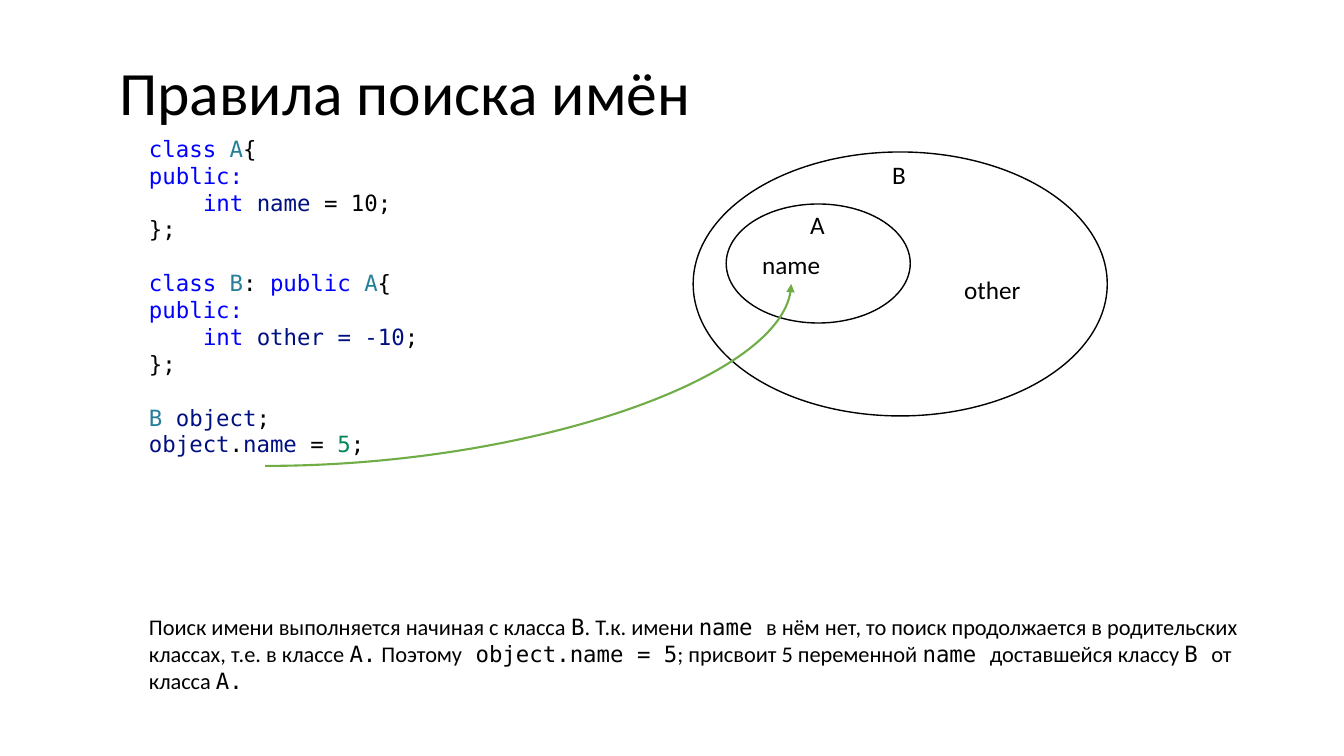
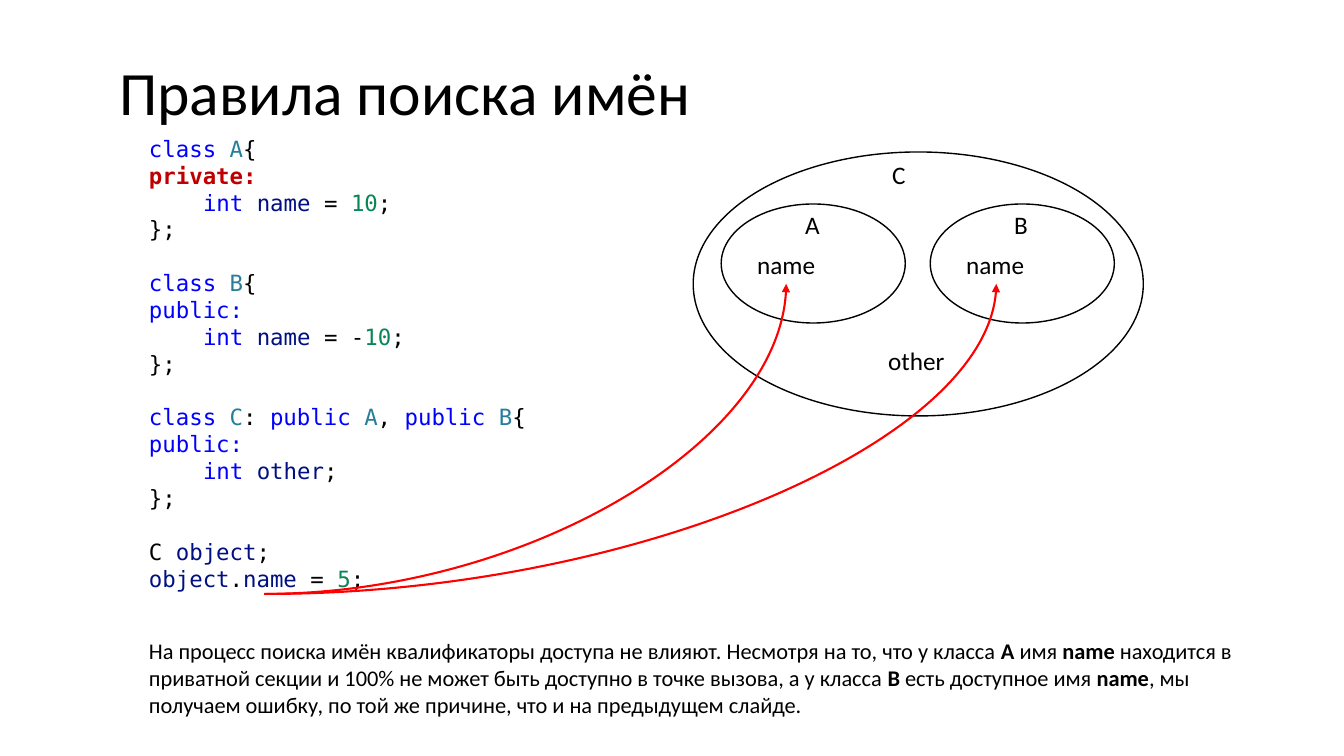
import pptx
import pptx.util
import pptx.dml.color
import pptx.enum.shapes
import pptx.enum.text
import pptx.oxml.ns
import pptx.oxml.xmlchemy

PX = 914400 / 100.8
SANS, MONO = "Calibri", "DejaVu Sans Mono"
HUES = {
    "text": "000000", "paper": "FFFFFF", "key": "0000FF", "type": "267F99",
    "name": "001080", "num": "098658", "warn": "C00000",
    "good": "70AD47", "bad": "FF0000",
}
INDENT = 54
CODE_GAP = 19.2


def rgb(hue):
    return pptx.dml.color.RGBColor.from_string(HUES[hue])


def write(par, text, size, font=SANS, hue="text", bold=False):
    run = par.add_run()
    run.text = text
    run.font.size = pptx.util.Pt(size)
    run.font.name = font
    run.font.color.rgb = rgb(hue)
    run.font.bold = bold


OPEN = [("type", "A"), ("text", "{")]
PUBLIC = [("key", "public:")]
END = [("text", "};")]
CALL = [("name", "object"), ("text", "."), ("name", "name"),
        ("text", " = "), ("num", "5"), ("text", ";")]

pages = [
    {
        "code": [
            [("key", "class ")] + OPEN,
            PUBLIC,
            [("key", "int "), ("name", "name "), ("text", "= 10;")],
            END,
            [("key", "class "), ("type", "B"), ("text", ": "), ("key", "public ")] + OPEN,
            PUBLIC,
            [("key", "int "), ("name", "other = -10"), ("text", ";")],
            END,
            [("type", "B "), ("name", "object"), ("text", ";")],
            CALL,
        ],
        "high": 336,
        "outer": 414,
        "inner": [("A", 726)],
        "labels": [("B", 882, 154, 35), ("other", 954, 269, 78)],
        "arrows": [(265, 466, 791)],
        "hue": "good",
        "top": 608,
        "note": [
            ("Поиск имени выполняется начиная с класса ", SANS, False),
            ("B", MONO, False),
            (". Т.к. имени ", SANS, False),
            ("name ", MONO, False),
            ("в нём нет, то поиск продолжается в родительских классах, т.е. в классе ", SANS, False),
            ("A.", MONO, False),
            (" Поэтому", SANS, False),
            (" object.name = 5", MONO, False),
            ("; присвоит 5 переменной ", SANS, False),
            ("name ", MONO, False),
            ("доставшейся классу ", SANS, False),
            ("B ", MONO, False),
            ("от класса ", SANS, False),
            ("A.", MONO, False),
        ],
    },
    {
        "code": [
            [("key", "class ")] + OPEN,
            [("warn", "private:")],
            [("key", "int "), ("name", "name"), ("text", " = "), ("num", "10"), ("text", ";")],
            END,
            [("key", "class "), ("type", "B"), ("text", "{")],
            PUBLIC,
            [("key", "int "), ("name", "name"), ("text", " = -"), ("num", "10"), ("text", ";")],
            END,
            [("key", "class "), ("type", "C"), ("text", ": "), ("key", "public "), ("type", "A"),
             ("text", ", "), ("key", "public "), ("type", "B"), ("text", "{")],
            PUBLIC,
            [("key", "int "), ("name", "other"), ("text", ";")],
            END,
            [("text", "С "), ("name", "object"), ("text", ";")],
            CALL,
        ],
        "high": 472,
        "outer": 450,
        "inner": [("A", 721), ("B", 930)],
        "labels": [("C", 882, 154, 34), ("other", 878, 340, 78)],
        "arrows": [(264, 594, 786), (266, 594, 996)],
        "hue": "bad",
        "top": 632,
        "note": [
            ("На процесс поиска имён квалификаторы доступа не влияют. Несмотря на то, что у класса ", SANS, False),
            ("A ", SANS, True),
            ("имя ", SANS, False),
            ("name ", SANS, True),
            ("находится в приватной секции и 100% не может быть доступно в точке вызова, а у класса ", SANS, False),
            ("B ", SANS, True),
            ("есть доступное имя ", SANS, False),
            ("name", SANS, True),
            (", мы получаем ошибку, по той же причине, что и на предыдущем слайде.", SANS, False),
        ],
    },
]

deck = pptx.Presentation()
deck.slide_width = pptx.util.Inches(13.33)
deck.slide_height = pptx.util.Inches(7.5)

for page in pages:
    slide = deck.slides.add_slide(deck.slide_layouts[5])
    shapes = slide.shapes

    title = shapes.title
    title.left, title.top, title.width, title.height = [round(n * PX) for n in (109, 57, 1159, 146)]
    title.text_frame.vertical_anchor = pptx.enum.text.MSO_ANCHOR.TOP
    par = title.text_frame.paragraphs[0]
    par.alignment = pptx.enum.text.PP_ALIGN.LEFT
    par.line_spacing = 0.9
    write(par, "Правила поиска имён", 44)

    box = shapes.add_textbox(*[round(n * PX) for n in (139, 130, 672, page["high"])])
    frame = box.text_frame
    frame.word_wrap = True
    last = None
    for line in page["code"]:
        par = frame.add_paragraph() if last else frame.paragraphs[0]
        if last is END:
            par.space_before = pptx.util.Pt(CODE_GAP)
        if line[0][1] == "int ":
            props = par._p.get_or_add_pPr()
            props.set("marL", str(round(INDENT * PX)))
            props.set("indent", "0")
        for hue, text in line:
            write(par, text, 16, MONO, hue, hue == "warn")
        last = line

    ovals = [(693, 152, page["outer"], 264)]
    labels = list(page["labels"])
    for name, left in page["inner"]:
        ovals.append((left, 204, 184, 119))
        labels += [(name, left + 74, 204, 35), ("name", left + 26, 244, 79)]

    for spot in ovals:
        oval = shapes.add_shape(pptx.enum.shapes.MSO_SHAPE.OVAL, *[round(n * PX) for n in spot])
        oval.shadow.inherit = False
        oval.fill.solid()
        oval.fill.fore_color.rgb = rgb("paper")
        oval.line.color.rgb = rgb("text")
        oval.line.width = pptx.util.Pt(1)

    for text, left, top, wide in labels:
        box = shapes.add_textbox(*[round(n * PX) for n in (left, top, wide, 40)])
        box.text_frame.word_wrap = False
        box.text_frame.auto_size = pptx.enum.text.MSO_AUTO_SIZE.SHAPE_TO_FIT_TEXT
        write(box.text_frame.paragraphs[0], text, 18)

    box = shapes.add_textbox(*[round(n * PX) for n in (139, page["top"], 1113, 92)])
    box.text_frame.word_wrap = True
    for text, font, bold in page["note"]:
        write(box.text_frame.paragraphs[0], text, 16, font, "text", bold)

    for left, low, right in page["arrows"]:
        curve = shapes.add_connector(pptx.enum.shapes.MSO_CONNECTOR.CURVE,
                                     *[round(n * PX) for n in (left, low, right, 284)])
        curve.line.color.rgb = rgb(page["hue"])
        curve.line.width = pptx.util.Pt(1.5)
        props = curve._element.spPr
        props.find(pptx.oxml.ns.qn("a:prstGeom")).set("prst", "curvedConnector2")
        tip = pptx.oxml.xmlchemy.OxmlElement("a:tailEnd")
        tip.set("type", "triangle")
        curve.line._get_or_add_ln().append(tip)
        props.append(pptx.oxml.xmlchemy.OxmlElement("a:effectLst"))

deck.save("out.pptx")
